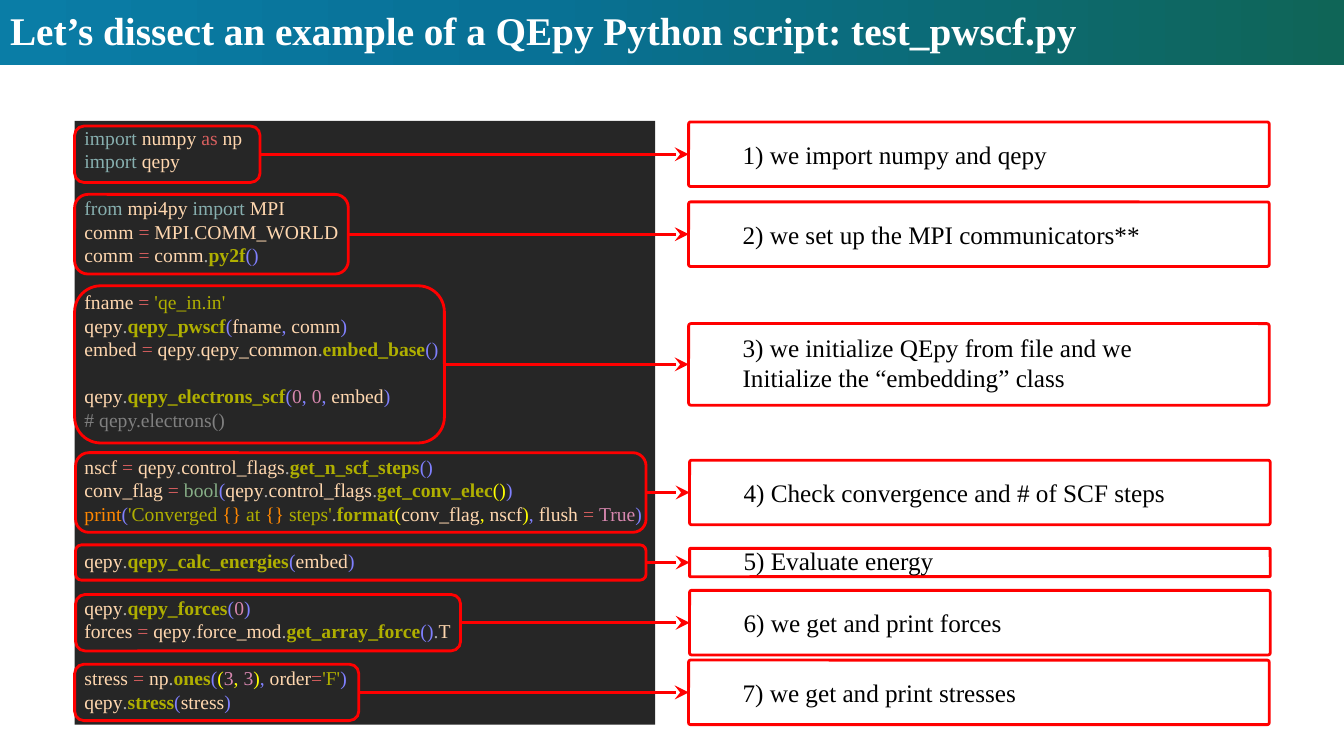
from copy import deepcopy
from dataclasses import dataclass
from itertools import groupby

from lxml.etree import SubElement
from pptx import Presentation
from pptx.dml.color import RGBColor
from pptx.enum.shapes import MSO_CONNECTOR, MSO_SHAPE
from pptx.enum.text import MSO_ANCHOR, MSO_AUTO_SIZE, PP_ALIGN
from pptx.oxml.ns import qn
from pptx.util import Pt


@dataclass(frozen=True)
class Theme:
    """Colours, font and type sizes of the slide."""
    font: str = "Times New Roman"
    title_size: float = 28
    label_size: float = 18
    label_pitch: float = 22
    code_size: float = 14
    code_pitch: float = 16.78
    outline_width: float = 2
    banner: tuple = ((0, "0A7DA6"), (0.39, "087196"), (1, "0F6557"))
    title: str = "FFFFFF"
    label: str = "000000"
    outline: str = "FF0000"
    panel: str = "262626"
    plain: str = "FFD7AF"
    keyword: str = "87AFAF"
    operator: str = "D75F5F"
    dot: str = "A8A8A8"
    function: str = "AFAF00"
    string: str = "AFAF00"
    builtin: str = "87AF87"
    special: str = "FF8700"
    constant: str = "D787AF"
    comment: str = "808080"
    brackets: tuple = ("8080FF", "FFFF00")


THEME = Theme()

KNOWN_WORDS = {
    "import": THEME.keyword, "from": THEME.keyword, "as": THEME.operator,
    "bool": THEME.builtin, "print": THEME.special, "True": THEME.constant,
}

CODE = """\
import numpy as np
import qepy

from mpi4py import MPI
comm = MPI.COMM_WORLD
comm = comm.py2f()

fname = 'qe_in.in'
qepy.qepy_pwscf(fname, comm)
embed = qepy.qepy_common.embed_base()

qepy.qepy_electrons_scf(0, 0, embed)
# qepy.electrons()

nscf = qepy.control_flags.get_n_scf_steps()
conv_flag = bool(qepy.control_flags.get_conv_elec())
print('Converged {} at {} steps'.format(conv_flag, nscf), flush = True)

qepy.qepy_calc_energies(embed)

qepy.qepy_forces(0)
forces = qepy.force_mod.get_array_force().T

stress = np.ones((3, 3), order='F')
qepy.stress(stress)"""

PANEL = (53.3, 86.4, 414.7, 431.3)
CALLOUT_OFFSET = 438.6
CALLOUT_WIDTH = 414.7
LABEL_OFFSET = 470.1
LABEL_WIDTH = 340
LABEL_PADDING = 7.2

STEPS = [
    (53.3, 110.2, 132.5, 40.3, 46.1, 0, ["1) we import numpy and qepy"]),
    (53.3, 167.3, 195.5, 56.9, 46.1, 0, ["2) we set up the MPI communicators**"]),
    (53.3, 260.3, 264.2, 112.3, 58.3, 1.5,
     ["3) we initialize QEpy from file and we", "Initialize the “embedding” class"]),
    (54, 351.8, 407.5, 56.9, 46.1, 0.3, ["4) Check convergence and # of SCF steps"]),
    (54, 401.8, 407.5, 25.2, 20.2, 1.5, ["5) Evaluate energy"]),
    (54, 444.8, 275, 40.3, 46.1, 0.3, ["6) we get and print forces"]),
    (53.3, 494.6, 203, 40.3, 46.1, 0, ["7) we get and print stresses"]),
]


def split_words(code):
    """Split code into words and single symbols."""
    for is_word, chars in groupby(code, lambda c: c.isalnum() or c == "_"):
        yield from ["".join(chars)] if is_word else chars


def color_word(word, following):
    """Return the colour and weight of one word or symbol outside brackets."""
    if word in KNOWN_WORDS:
        return KNOWN_WORDS[word], False
    if word.isdigit():
        return THEME.constant, False
    if following == "(":
        return (THEME.function, True) if word != "(" else (THEME.plain, False)
    return {"=": THEME.operator, ".": THEME.dot}.get(word, THEME.plain), False


def highlight(line):
    """Yield text, colour and weight for every token of a code line."""
    if line.startswith("#"):
        yield line, THEME.comment, False
        return
    depth = 0
    for index, part in enumerate(line.split("'")):
        if index % 2:
            for is_field, chars in groupby(f"'{part}'", lambda c: c in "{}"):
                yield "".join(chars), THEME.special if is_field else THEME.string, False
            continue
        words = list(split_words(part))
        for word, following in zip(words, words[1:] + [""]):
            depth += word == "("
            if word in "(),":
                yield word, THEME.brackets[depth - 1], False
            else:
                yield word, *color_word(word, following)
            depth -= word == ")"


def add_run(paragraph, text, size, color, bold=False):
    """Append one formatted run to a paragraph."""
    run = paragraph.add_run()
    run.text = text
    run.font.name = THEME.font
    run.font.size = Pt(size)
    run.font.bold = bold
    run.font.color.rgb = RGBColor.from_string(color)


def add_paragraph(frame, is_first, pitch):
    """Return the next left-aligned paragraph of a text frame."""
    paragraph = frame.paragraphs[0] if is_first else frame.add_paragraph()
    paragraph.alignment = PP_ALIGN.LEFT
    paragraph.line_spacing = Pt(pitch)
    return paragraph


def add_title(slide, text):
    """Turn the title placeholder into a gradient banner."""
    title = slide.shapes.title
    title.left, title.top, title.width, title.height = Pt(0), Pt(0), Pt(960), Pt(46.4)
    title.fill.gradient()
    title.fill.gradient_angle = 0
    stop_list = title._element.find(".//" + qn("a:gsLst"))
    stop_list.insert(1, deepcopy(stop_list[0]))
    for stop, (position, color) in zip(title.fill.gradient_stops, THEME.banner):
        stop.position = position
        stop.color.rgb = RGBColor.from_string(color)
    frame = title.text_frame
    frame.auto_size = MSO_AUTO_SIZE.NONE
    frame.vertical_anchor = MSO_ANCHOR.MIDDLE
    frame.margin_top, frame.margin_bottom = Pt(2), Pt(6.5)
    frame.paragraphs[0].alignment = PP_ALIGN.LEFT
    add_run(frame.paragraphs[0], text, THEME.title_size, THEME.title, True)


def add_code_panel(slide):
    """Add the dark panel with the highlighted script."""
    panel = slide.shapes.add_shape(MSO_SHAPE.RECTANGLE, *map(Pt, PANEL))
    panel.shadow.inherit = False
    panel.fill.solid()
    panel.fill.fore_color.rgb = RGBColor.from_string(THEME.panel)
    panel.line.fill.background()
    panel.text_frame.word_wrap = True
    panel.text_frame.vertical_anchor = MSO_ANCHOR.TOP
    for number, block in enumerate(CODE.split("\n\n")):
        for row, line in enumerate(block.split("\n")):
            paragraph = add_paragraph(panel.text_frame, number + row == 0, THEME.code_pitch)
            paragraph.space_before = Pt(THEME.code_pitch if number and row == 0 else 0)
            for style, tokens in groupby(highlight(line), lambda token: token[1:]):
                add_run(paragraph, "".join(t[0] for t in tokens), THEME.code_size, *style)


def add_frame(slide, left, middle, width, height):
    """Add a rounded red outline centred on a height."""
    outline = slide.shapes.add_shape(
        MSO_SHAPE.ROUNDED_RECTANGLE, Pt(left), Pt(middle - height / 2), Pt(width), Pt(height))
    outline.shadow.inherit = False
    outline.fill.background()
    outline.line.color.rgb = RGBColor.from_string(THEME.outline)
    outline.line.width = Pt(THEME.outline_width)
    return outline


def add_label(slide, left, middle, lines):
    """Add the explanation text centred on a height."""
    height = THEME.label_pitch * len(lines) + LABEL_PADDING
    label = slide.shapes.add_textbox(
        Pt(left), Pt(middle - height / 2), Pt(LABEL_WIDTH), Pt(height))
    label.text_frame.word_wrap = True
    for row, line in enumerate(lines):
        paragraph = add_paragraph(label.text_frame, row == 0, THEME.label_pitch)
        add_run(paragraph, line, THEME.label_size, THEME.label)


def add_arrow(slide, start, end, middle):
    """Add a horizontal red arrow."""
    arrow = slide.shapes.add_connector(
        MSO_CONNECTOR.STRAIGHT, Pt(start), Pt(middle), Pt(end), Pt(middle))
    arrow.line.color.rgb = RGBColor.from_string(THEME.outline)
    arrow.line.width = Pt(THEME.outline_width)
    SubElement(arrow.line._get_or_add_ln(), qn("a:tailEnd"), type="stealth", w="lg", len="lg")
    SubElement(arrow._element.spPr, qn("a:effectLst"))


def main():
    """Build the slide and save it."""
    deck = Presentation()
    deck.slide_width, deck.slide_height = Pt(960), Pt(540)
    slide = deck.slides.add_slide(deck.slide_layouts[5])
    add_title(slide, "Let’s dissect an example of a QEpy Python script: test_pwscf.py")
    add_code_panel(slide)
    for left, middle, width, height, callout_height, lift, lines in STEPS:
        callout_left = left + CALLOUT_OFFSET
        add_frame(slide, left, middle, width, height)
        callout = add_frame(slide, callout_left, middle, CALLOUT_WIDTH, callout_height)
        callout.adjustments[0] = 0.03
        add_arrow(slide, left + width, callout_left, middle)
        add_label(slide, left + LABEL_OFFSET, middle - lift, lines)
    deck.save("out.pptx")


if __name__ == "__main__":
    main()
